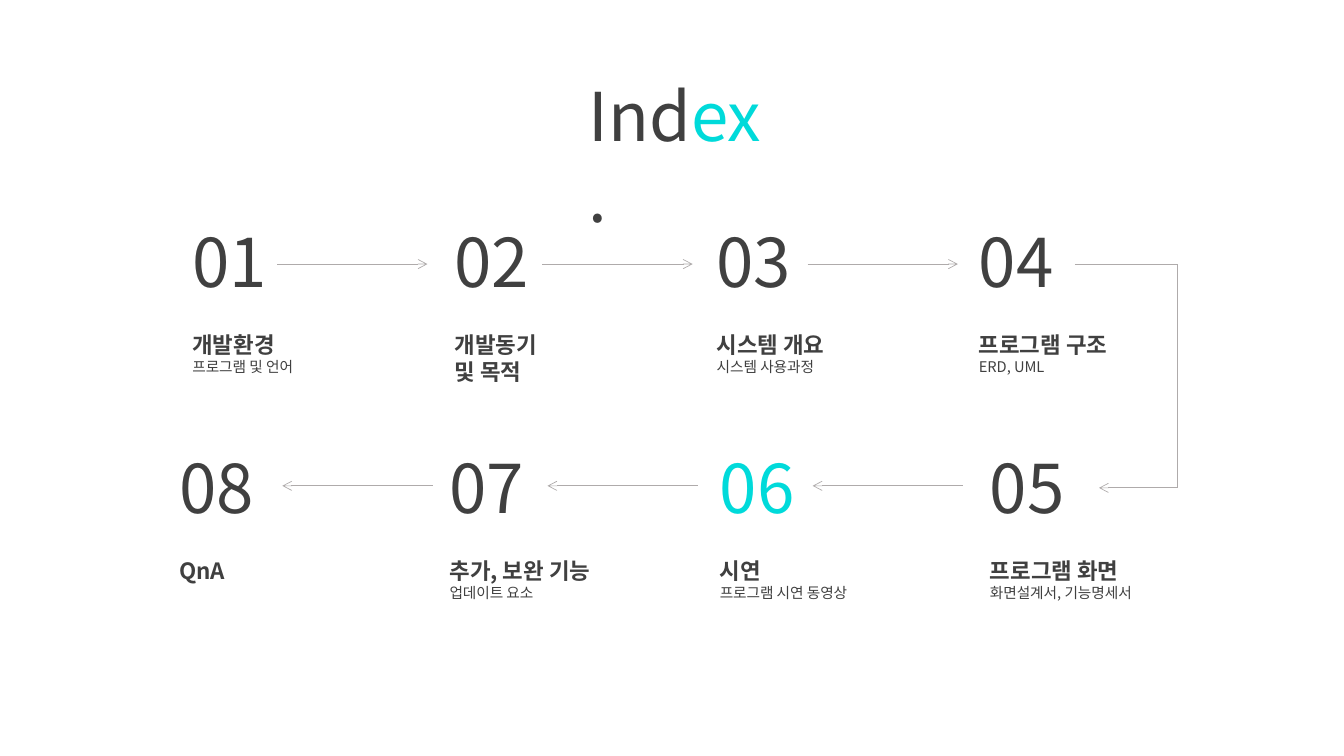
import pptx
import pptx.util
import pptx.dml.color
import pptx.enum.shapes
import pptx.enum.text
import pptx.oxml
import pptx.oxml.ns
from lxml import etree

FONT = "Noto Sans CJK KR"
DARK, ACCENT, RULE = "404040", "00DADA", "AFABAB"
INCH = pptx.util.Inches

TOP_ROW = [
    ("01", ["개발환경"], "프로그램 및 언어", DARK),
    ("02", ["개발동기", "및 목적"], None, DARK),
    ("03", ["시스템 개요"], "시스템 사용과정", DARK),
    ("04", ["프로그램 구조"], "ERD, UML", DARK),
]
BOTTOM_ROW = [
    ("08", ["QnA"], None, DARK),
    ("07", ["추가, 보완 기능"], "업데이트 요소", DARK),
    ("06", ["시연"], "프로그램 시연 동영상", ACCENT),
    ("05", ["프로그램 화면"], "화면설계서, 기능명세서", DARK),
]
STEP_WIDTH, STEP_HEIGHT = 1.91, 1.75
ARROW_LENGTH, ARROW_PITCH = 1.49, 2.63
TURN_X = 11.68


def rgb(color):
    """Turn a hex string into a colour."""
    return pptx.dml.color.RGBColor.from_string(color)


def apply(target, values):
    """Set every attribute in a dict of format values."""
    for name, value in values.items():
        setattr(target, name, value)


def write(paragraph, wording, size, color, bold=False):
    """Add one formatted run to a paragraph."""
    run = paragraph.add_run()
    run.text = wording
    apply(run.font, {"name": FONT, "size": pptx.util.Pt(size), "bold": bold})
    run.font.color.rgb = rgb(color)
    east_asian = etree.SubElement(run._r.get_or_add_rPr(), pptx.oxml.ns.qn("a:ea"))
    east_asian.set("typeface", FONT)


def set_frame(frame):
    """Wrap text from the top of a frame that grows with it."""
    apply(frame, {
        "word_wrap": True,
        "auto_size": pptx.enum.text.MSO_AUTO_SIZE.SHAPE_TO_FIT_TEXT,
        "vertical_anchor": pptx.enum.text.MSO_ANCHOR.TOP,
        "margin_left": INCH(0.1), "margin_right": INCH(0.1),
        "margin_top": INCH(0.05), "margin_bottom": INCH(0.05),
    })


def add_heading(slide, left, top, width, height):
    """Place the two-colour title in its box."""
    heading = slide.shapes.title
    apply(heading, {"left": INCH(left), "top": INCH(top),
                    "width": INCH(width), "height": INCH(height)})
    set_frame(heading.text_frame)
    line = heading.text_frame.paragraphs[0]
    line.alignment = pptx.enum.text.PP_ALIGN.LEFT
    for wording, color in (("Ind", DARK), ("ex", ACCENT), (".", DARK)):
        write(line, wording, 48, color)


def add_step(group, left, top, step):
    """Write one numbered step with its topic and detail."""
    number, topics, detail, number_color = step
    box = group.shapes.add_textbox(INCH(left), INCH(top), INCH(STEP_WIDTH), INCH(STEP_HEIGHT))
    frame = box.text_frame
    set_frame(frame)
    write(frame.paragraphs[0], number, 48, number_color)
    for index, topic in enumerate(topics):
        line = frame.add_paragraph()
        if index == 0:
            line.space_before = pptx.util.Pt(21.5)
        write(line, topic, 16, DARK, True)
    if detail:
        write(frame.add_paragraph(), detail, 10.5, DARK)


def add_row(slide, left, top, pitch, steps):
    """Set a row of steps at equal distances."""
    group = slide.shapes.add_group_shape()
    for column, step in enumerate(steps):
        add_step(group, left + column * pitch, top, step)


def add_line(slide, start, end, arrow=True):
    """Draw a thin grey line, with an open arrowhead if asked."""
    link = slide.shapes.add_connector(
        pptx.enum.shapes.MSO_CONNECTOR.STRAIGHT, *map(INCH, start + end))
    link.line.color.rgb = rgb(RULE)
    link.line.width = pptx.util.Pt(0.5)
    if arrow:
        head = etree.SubElement(link.line._get_or_add_ln(), pptx.oxml.ns.qn("a:tailEnd"))
        head.set("type", "arrow")
    etree.SubElement(link._element.spPr, pptx.oxml.ns.qn("a:effectLst"))


def add_arrows(slide, left, y, direction):
    """Draw the three arrows of a row, running in the given direction."""
    for gap in range(3):
        start = left + gap * ARROW_PITCH
        add_line(slide, (start, y), (start + direction * ARROW_LENGTH, y))


def add_turn(slide, top, bottom):
    """Draw the bend that leads from the top row to the bottom row."""
    add_line(slide, (10.66, top), (TURN_X, top), False)
    add_line(slide, (TURN_X, top), (TURN_X, bottom), False)
    add_line(slide, (TURN_X, bottom), (10.9, bottom))


def main():
    """Build the index slide."""
    deck = pptx.Presentation()
    apply(deck, {"slide_width": INCH(13.33), "slide_height": INCH(7.5)})
    slide = deck.slides.add_slide(deck.slide_layouts[5])
    add_heading(slide, 5.74, 0.69, 2, 0.91)
    add_row(slide, 1.68, 4.38, 2.68, BOTTOM_ROW)
    add_row(slide, 1.81, 2.14, 2.6, TOP_ROW)
    add_turn(slide, 2.62, 4.84)
    add_arrows(slide, 2.75, 2.62, 1)
    add_arrows(slide, 4.29, 4.82, -1)
    deck.save("out.pptx")


if __name__ == "__main__":
    main()
